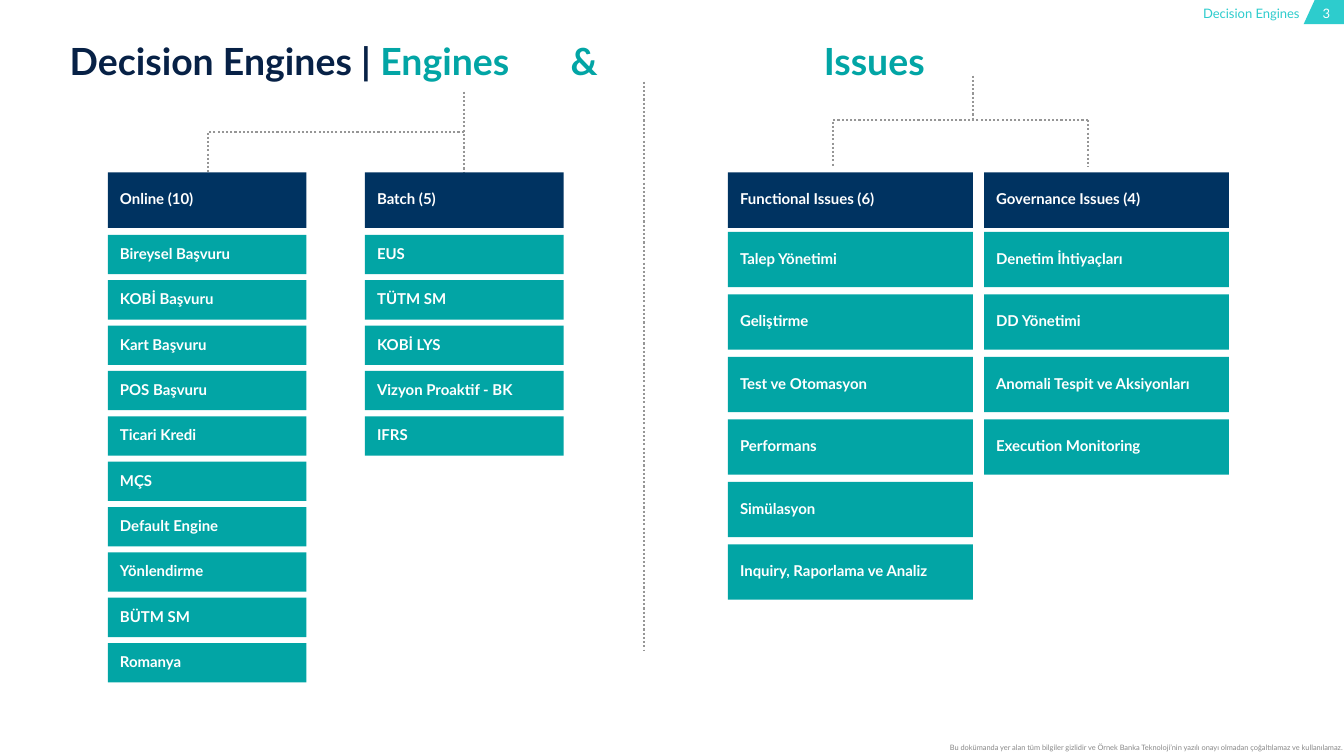
"""Build the Decision Engines slide: engine lists and issue lists under one title."""
from lxml import etree
from pptx import Presentation
from pptx.dml.color import RGBColor
from pptx.enum.dml import MSO_LINE
from pptx.enum.shapes import MSO_CONNECTOR, MSO_SHAPE
from pptx.enum.text import MSO_ANCHOR, MSO_AUTO_SIZE, PP_ALIGN
from pptx.oxml.ns import qn
from pptx.util import Inches, Pt

DOTTED = MSO_LINE.ROUND_DOT
STRAIGHT, ELBOW = MSO_CONNECTOR.STRAIGHT, MSO_CONNECTOR.ELBOW
RECTANGLE = MSO_SHAPE.RECTANGLE
TOP, MIDDLE = MSO_ANCHOR.TOP, MSO_ANCHOR.MIDDLE
LEFT, CENTER, RIGHT = PP_ALIGN.LEFT, PP_ALIGN.CENTER, PP_ALIGN.RIGHT
NO_AUTOFIT = MSO_AUTO_SIZE.NONE

COLORS = {"ink": "072146", "navy": "003361", "teal": "02A5A5", "aqua": "2DCCCD",
          "white": "FFFFFF", "dots": "969696", "gray": "888888"}
FONT = "Lato"

TITLE = [("Decision Engines | ", "ink"), ("Engines\t&\tIssues", "teal")]
TITLE_TABS = (4.97, 7.48)
SECTION = "Decision Engines"
PAGE = "3"
NOTICE = ("Bu dokümanda yer alan tüm bilgiler gizlidir ve Örnek Banka Teknoloji’nin "
          "yazılı onayı olmadan çoğaltılamaz ve kullanılamaz.")

ENGINE_GRID = {"width": 1.97, "first": 2.33, "height": 0.39, "pitch": 0.45}
ISSUE_GRID = {"width": 2.43, "first": 2.3, "height": 0.55, "pitch": 0.62}
COLUMNS = [
    ("Online (10)", 1.07, ENGINE_GRID,
     ["Bireysel Başvuru", "KOBİ Başvuru", "Kart Başvuru", "POS Başvuru", "Ticari Kredi",
      "MÇS", "Default Engine", "Yönlendirme", "BÜTM SM", "Romanya"]),
    ("Batch (5)", 3.62, ENGINE_GRID,
     ["EUS", "TÜTM SM", "KOBİ LYS", "Vizyon Proaktif - BK", "IFRS"]),
    ("Functional Issues (6)", 7.22, ISSUE_GRID,
     ["Talep Yönetimi", "Geliştirme", "Test ve Otomasyon", "Performans", "Simülasyon",
      "Inquiry, Raporlama ve Analiz"]),
    ("Governance Issues (4)", 9.76, ISSUE_GRID,
     ["Denetim İhtiyaçları", "DD Yönetimi", "Anomali Tespit ve Aksiyonları",
      "Execution Monitoring"]),
]
HEADER_TOP, HEADER_HEIGHT = 1.71, 0.55

STRAIGHT_LINES = [(4.6, 0.91, 4.6, 1.71), (10.79, 1.19, 10.79, 1.65),
                  (9.65, 0.75, 9.65, 1.2), (6.39, 0.81, 6.39, 6.46)]
CORNER_LINES = [(4.6, 1.31, 2.06, 1.71), (10.79, 1.19, 8.26, 1.65)]
PAGE_TAB = [(13.04, 0), (13.33, 0), (13.33, 0.24), (12.93, 0.24)]


def rgb(name):
    return RGBColor.from_string(COLORS[name])


def write(shape, runs, size, bold=False, align=LEFT, anchor=TOP, inset=0, wrap=True,
          spacing=1.0):
    frame = shape.text_frame
    frame.auto_size = NO_AUTOFIT
    frame.word_wrap = wrap
    frame.vertical_anchor = anchor
    frame.margin_left = frame.margin_right = Inches(inset)
    frame.margin_top = frame.margin_bottom = Inches(inset)
    paragraph = frame.paragraphs[0]
    paragraph.alignment = align
    paragraph.line_spacing = spacing
    for text, color in runs:
        run = paragraph.add_run()
        run.text = text
        run.font.name = FONT
        run.font.size = Pt(size)
        run.font.bold = bold
        run.font.color.rgb = rgb(color)
    return paragraph


def paint(shape, color):
    shape.shadow.inherit = False
    shape.fill.solid()
    shape.fill.fore_color.rgb = rgb(color)
    shape.line.fill.background()


def add_box(slide, label, color, *place):
    box = slide.shapes.add_shape(RECTANGLE, *map(Inches, place))
    paint(box, color)
    write(box, [(label, "white")], 10.7, bold=True, anchor=MIDDLE, inset=0.12,
          wrap=False, spacing=0.9)


def add_label(slide, label, color, place, size, align):
    box = slide.shapes.add_textbox(*map(Inches, place))
    write(box, [(label, color)], size, align=align)


def add_dotted(slide, kind, ends):
    connector = slide.shapes.add_connector(kind, *map(Inches, ends))
    connector.line.color.rgb = rgb("dots")
    connector.line.width = Pt(1.5)
    connector.line.dash_style = DOTTED
    properties = connector._element.spPr
    etree.SubElement(properties, qn("a:effectLst"))
    if kind == ELBOW:
        properties.find(qn("a:prstGeom")).set("prst", "bentConnector2")


def add_title(slide):
    title = slide.shapes.title
    title.left, title.top = Inches(0.69), Inches(0.38)
    title.width, title.height = Inches(12.21), Inches(0.5)
    paragraph = write(title, TITLE, 26.7, bold=True)
    tabs = etree.SubElement(paragraph._p.get_or_add_pPr(), qn("a:tabLst"))
    for position in TITLE_TABS:
        etree.SubElement(tabs, qn("a:tab"), pos=str(Inches(position)), algn="l")


def add_page_frame(slide):
    outline = [(Inches(x), Inches(y)) for x, y in PAGE_TAB]
    builder = slide.shapes.build_freeform(*outline[0])
    builder.add_line_segments(outline[1:], close=True)
    paint(builder.convert_to_shape(), "aqua")
    add_label(slide, PAGE, "white", (13, 0.05, 0.31, 0.16), 9.3, CENTER)
    add_label(slide, SECTION, "aqua", (8.81, 0.05, 4.08, 0.16), 9.3, RIGHT)
    add_label(slide, NOTICE, "gray", (8.8, 7.37, 4.52, 0.1), 5.3, RIGHT)


def main():
    deck = Presentation()
    deck.slide_width, deck.slide_height = Inches(13.33), Inches(7.5)
    slide = deck.slides.add_slide(deck.slide_layouts[5])
    add_page_frame(slide)
    add_title(slide)
    for ends in STRAIGHT_LINES:
        add_dotted(slide, STRAIGHT, ends)
    for ends in CORNER_LINES:
        add_dotted(slide, ELBOW, ends)
    for heading, left, grid, items in COLUMNS:
        add_box(slide, heading, "navy", left, HEADER_TOP, grid["width"], HEADER_HEIGHT)
        for row, item in enumerate(items):
            top = grid["first"] + row * grid["pitch"]
            add_box(slide, item, "teal", left, top, grid["width"], grid["height"])
    deck.save("out.pptx")


if __name__ == "__main__":
    main()
